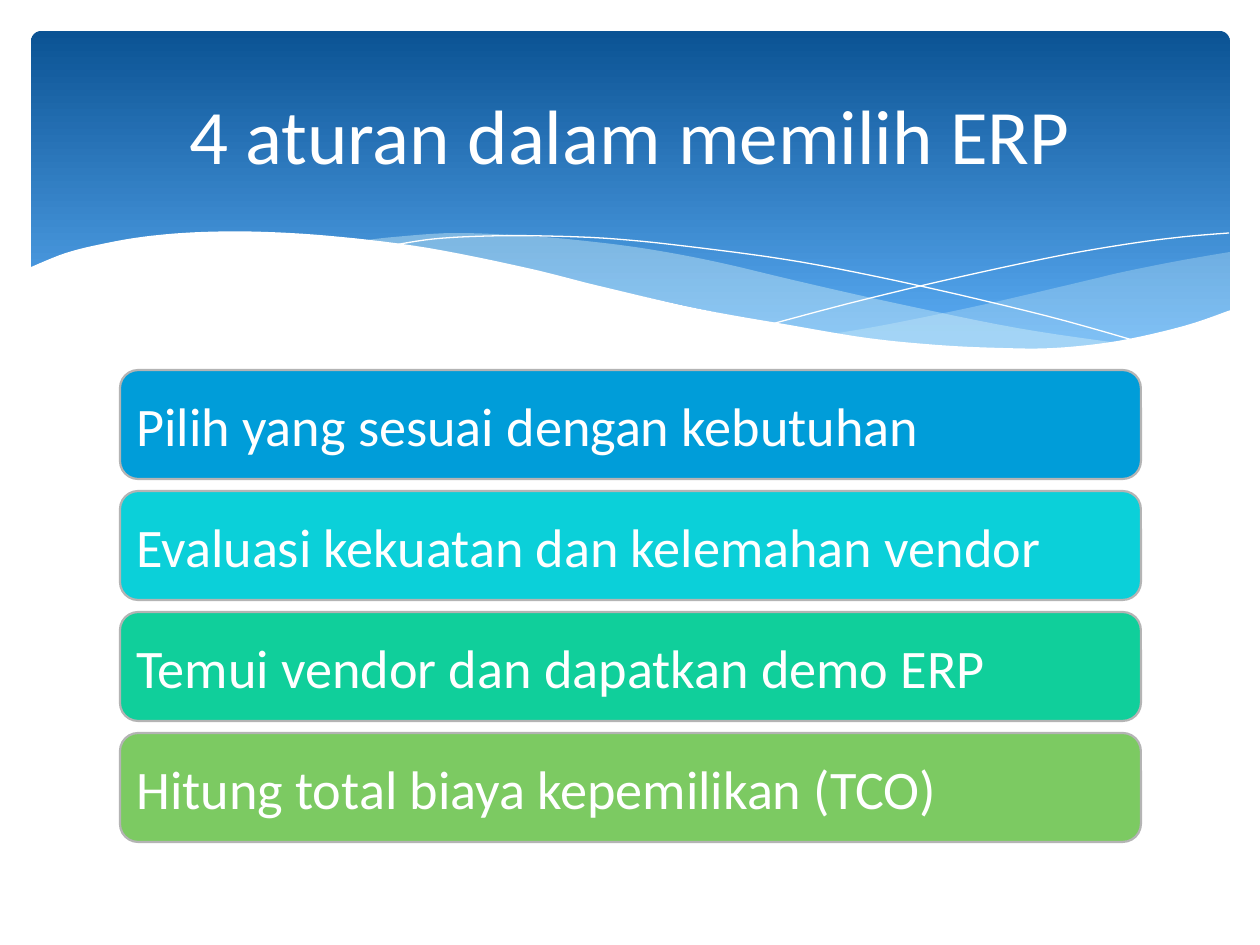
"""Build the slide on four rules for choosing an ERP, under a wavy blue banner."""
import lxml.etree
import pptx
import pptx.dml.color
import pptx.enum.shapes
import pptx.enum.text
import pptx.oxml.ns
import pptx.util

UNIT = 914400 / 126
THEME = {
    "font": "Calibri", "title": 44, "rule": 31,
    "white": "FFFFFF", "foam": "DBF5F9", "edge": "B4B4B4",
    "band": [(0, "0B5394"), (0.9, "59AAF2")],
    "bars": ["009DD9", "0BD0D9", "10CF9B", "7CCA62"],
}
RULES = [
    "Pilih yang sesuai dengan kebutuhan",
    "Evaluasi kekuatan dan kelemahan vendor",
    "Temui vendor dan dapatkan demo ERP",
    "Hitung total biaya kepemilikan (TCO)",
]
RIGHT = [
    [(1230, 252), (1178, 261), (1123, 272), (1085, 281), (982, 305), (890, 324), (833, 334)],
    [(833, 334), (906, 343), (969, 349), (1038, 350), (1099, 345), (1150, 336),
     (1196, 324), (1230, 311)],
]
LEFT = [
    [(1125, 344), (1017, 328), (890, 302), (793, 280), (717, 262), (648, 249), (586, 241),
     (529, 236), (455, 233), (394, 237), (360, 241)],
    [(360, 241), (431, 251), (509, 266), (566, 280), (668, 302), (757, 321), (838, 335),
     (910, 345), (974, 349), (1043, 350), (1092, 348), (1125, 344)],
]
FALL = [[(389, 246), (433, 239), (488, 236), (546, 236), (616, 239), (701, 248), (801, 262),
         (916, 285), (1047, 316), (1143, 343)]]
RISE = [[(772, 324), (847, 304), (942, 281), (1053, 257), (1128, 244), (1182, 237), (1229, 233)]]
FLOOR = [
    [(1231, 310), (1184, 326), (1118, 341), (1055, 348), (999, 348), (937, 345), (867, 338),
     (789, 325), (699, 309), (599, 286), (527, 268), (428, 248), (341, 237), (266, 232),
     (203, 232), (150, 236), (107, 243), (66, 253), (29, 268)],
    [(29, 414), (1231, 414)],
]
# Each wave: sides, fill colour, opacity in percent; no fill means a thin line.
WAVES = [
    (RIGHT, THEME["foam"], 29),
    (LEFT, THEME["foam"], 40),
    (FALL, None, 100),
    (RISE, None, 100),
    (FLOOR, THEME["white"], 100),
]


def smooth(knots, steps=6):
    """Return points on a Catmull-Rom curve through the knots, in EMU."""
    ends = [knots[0], *knots, knots[-1]]
    points = []
    for a, b, c, d in zip(ends, ends[1:], ends[2:], ends[3:]):
        for step in range(steps):
            t = step / steps
            points.append(tuple(
                UNIT * (q + t * (r - p) / 2 + t**2 * (2 * p - 5 * q + 4 * r - s) / 2
                        + t**3 * (3 * q - p - 3 * r + s) / 2)
                for p, q, r, s in zip(a, b, c, d)))
    return points + [tuple(UNIT * n for n in knots[-1])]


def box(*sizes):
    """Turn px lengths into EMU."""
    return [pptx.util.Emu(round(UNIT * n)) for n in sizes]


color = pptx.dml.color.RGBColor.from_string
round_rect = pptx.enum.shapes.MSO_SHAPE.ROUNDED_RECTANGLE
middle = pptx.enum.text.MSO_ANCHOR.MIDDLE
align = pptx.enum.text.PP_ALIGN

deck = pptx.Presentation()
deck.slide_width, deck.slide_height = box(1260, 945)
slide = deck.slides.add_slide(deck.slide_layouts[5])
shapes = slide.shapes

band = shapes.add_shape(round_rect, *box(31, 31, 1199, 341))
band.adjustments[0] = 0.03
band.shadow.inherit = False
band.line.fill.background()
band.fill.gradient()
band.fill.gradient_angle = 270
for stop, (place, tint) in zip(band.fill.gradient_stops, THEME["band"]):
    stop.position = place
    stop.color.rgb = color(tint)

for sides, tint, alpha in WAVES:
    points = [point for side in sides for point in smooth(side)]
    pen = shapes.build_freeform(*points[0])
    pen.add_line_segments(points[1:], close=tint is not None)
    wave = pen.convert_to_shape()
    wave.shadow.inherit = False
    if tint is None:
        wave.fill.background()
        wave.line.color.rgb = color(THEME["white"])
        wave.line.width = pptx.util.Pt(0)
        continue
    wave.line.fill.background()
    wave.fill.solid()
    wave.fill.fore_color.rgb = color(tint)
    if alpha < 100:
        qn = pptx.oxml.ns.qn
        node = wave.fill._xPr.find(".//" + qn("a:srgbClr"))
        lxml.etree.SubElement(node, qn("a:alpha")).set("val", str(alpha * 1000))

for row, (rule, tint) in enumerate(zip(RULES, THEME["bars"])):
    bar = shapes.add_shape(round_rect, *box(120, 370 + 121 * row, 1021, 109))
    bar.shadow.inherit = False
    bar.fill.solid()
    bar.fill.fore_color.rgb = color(tint)
    bar.line.color.rgb = color(THEME["edge"])
    bar.line.width = pptx.util.Pt(1.25)
    frame = bar.text_frame
    frame.word_wrap = True
    frame.vertical_anchor = middle
    frame.margin_left, frame.margin_right = box(11, 11)
    para = frame.paragraphs[0]
    para.text = rule
    para.alignment = align.LEFT
    para.font.name = THEME["font"]
    para.font.size = pptx.util.Pt(THEME["rule"])
    para.font.color.rgb = color(THEME["white"])

title = shapes.title
title.left, title.top, title.width, title.height = box(63, 47, 1134, 173)
title.text_frame.vertical_anchor = middle
para = title.text_frame.paragraphs[0]
para.text = "4 aturan dalam memilih ERP"
para.alignment = align.CENTER
para.font.name = THEME["font"]
para.font.size = pptx.util.Pt(THEME["title"])
para.font.color.rgb = color(THEME["white"])
shapes._spTree.append(title._element)

deck.save("out.pptx")
